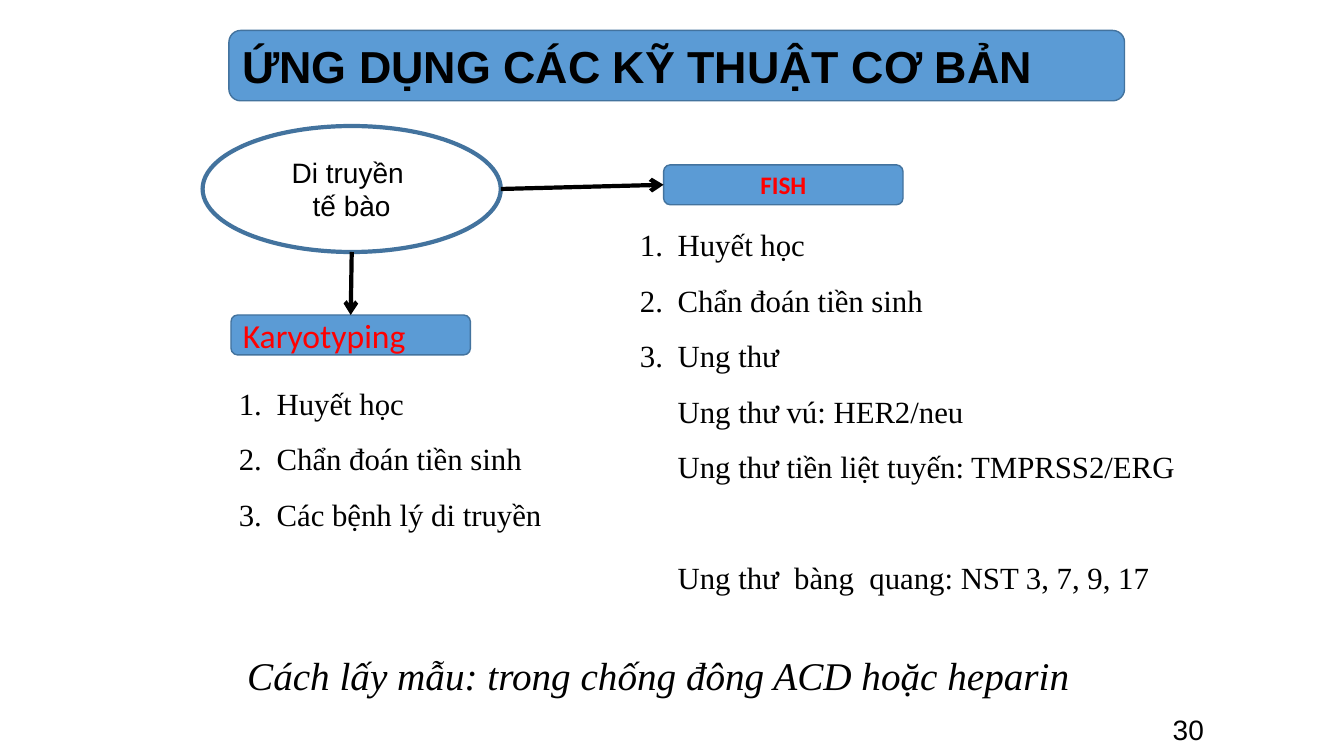
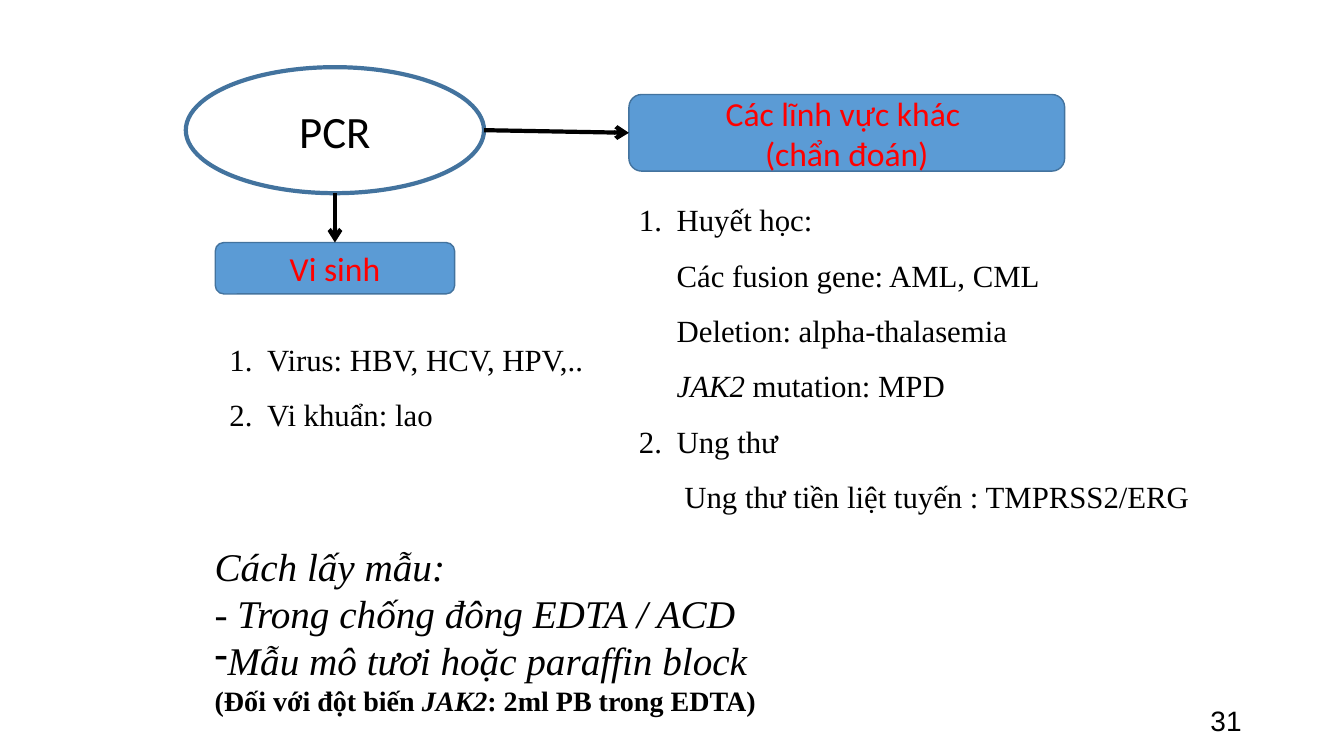
from lxml import etree
from pptx import Presentation
from pptx.dml.color import RGBColor
from pptx.enum import shapes, text
from pptx.oxml import ns
from pptx.util import Emu, Pt

PX = 9525
BLUE = RGBColor(0x5B, 0x9B, 0xD5)
EDGE = RGBColor(0x43, 0x73, 0x9E)
RED = RGBColor(0xFF, 0x00, 0x00)
BLACK = RGBColor(0x00, 0x00, 0x00)
SANS, LABEL, SERIF = "Arial", "Calibri", "Times New Roman"
GENE = "JAK2"
LIST_INDENT = 36
CENTER = text.PP_ALIGN.CENTER
LEFT = text.PP_ALIGN.LEFT
RIGHT = text.PP_ALIGN.RIGHT


def px(*values):
    return [Emu(v * PX) for v in values]


def write(p, words, size, font, color=BLACK, bold=False, italic=False, align=LEFT):
    before, gene, after = words.partition(GENE)
    p.text = before
    for part in filter(None, (gene, after)):
        p.add_run().text = part
    p.alignment = align
    for r in p.runs:
        r.font.size = Pt(size)
        r.font.name = font
        r.font.color.rgb = color
        r.font.bold = bold
        r.font.italic = italic or r.text == GENE


def fill_frame(tf, lines, *style, **options):
    tf.word_wrap = True
    for i, line in enumerate(lines):
        p = tf.add_paragraph() if i else tf.paragraphs[0]
        write(p, line, *style, **options)
    return tf


def add_bullet(p, tag, margin=0, **attributes):
    pPr = p._p.get_or_add_pPr()
    pPr.set("marL", str(margin * PX))
    pPr.set("indent", str(-margin * PX))
    etree.SubElement(pPr, ns.qn(tag), attributes)


def add_box(s, box, lines, *style, kind=shapes.MSO_SHAPE.ROUNDED_RECTANGLE,
            fill=BLUE, line_width=1, **options):
    sp = s.shapes.add_shape(kind, *px(*box))
    sp.shadow.inherit = False
    if fill is None:
        sp.fill.background()
    else:
        sp.fill.solid()
        sp.fill.fore_color.rgb = fill
    sp.line.color.rgb = EDGE
    sp.line.width = Pt(line_width)
    tf = fill_frame(sp.text_frame, lines, *style, **options)
    tf.vertical_anchor = text.MSO_ANCHOR.MIDDLE
    return sp


def add_method(s, left, top, lines, size, font):
    return add_box(s, (left, top, 284, 120), lines, size, font, align=CENTER,
                   kind=shapes.MSO_SHAPE.OVAL, fill=None, line_width=3)


def add_text(s, box, lines, *style, **options):
    sp = s.shapes.add_textbox(*px(*box))
    return fill_frame(sp.text_frame, lines, *style, **options)


def add_list(s, box, items):
    tf = add_text(s, box, [], 22, SERIF)
    for i, item in enumerate(items):
        p = tf.add_paragraph() if i else tf.paragraphs[0]
        add_bullet(p, "a:buAutoNum", LIST_INDENT, type="arabicPeriod")
        p.line_spacing = 1.5
        write(p, item, 22, SERIF)
    return tf


def add_list_remark(tf, words, gap=0):
    p = tf.add_paragraph()
    p._p.get_or_add_pPr().set("marL", str(LIST_INDENT * PX))
    p.line_spacing = 1.5
    p.space_before = Pt(gap)
    write(p, words, 22, SERIF)


def add_arrow(s, x, y, target, site):
    c = s.shapes.add_connector(shapes.MSO_CONNECTOR.STRAIGHT, x, y, x, y)
    c.end_connect(target, site)
    c.line.color.rgb = BLACK
    c.line.width = Pt(3)
    etree.SubElement(c.line._get_or_add_ln(), ns.qn("a:tailEnd"), type="arrow")
    etree.SubElement(c._element.spPr, ns.qn("a:effectLst"))


def add_branches(s, method, below, beside):
    add_arrow(s, method.left + method.width // 2, method.top + method.height, below, 0)
    add_arrow(s, method.left + method.width, method.top + method.height // 2, beside, 1)


def add_number(s, box, number):
    tf = add_text(s, box, [number], 20, SANS, align=RIGHT)
    tf.vertical_anchor = text.MSO_ANCHOR.MIDDLE


def build_cytogenetics(s):
    add_box(s, (218, 29, 853, 67), ["ỨNG DỤNG CÁC KỸ THUẬT CƠ BẢN"], 32, SANS, bold=True)
    method = add_method(s, 193, 120, ["Di truyền ", "tế bào"], 20, SANS)
    karyotyping = add_box(s, (220, 300, 228, 38), ["Karyotyping"], 24, LABEL, RED)
    fish = add_box(s, (632, 157, 228, 38), ["FISH"], 18, LABEL, RED,
                   bold=True, align=CENTER)
    add_branches(s, method, karyotyping, fish)
    add_list(s, (218, 344, 334, 170),
             ["Huyết học", "Chẩn đoán tiền sinh", "Các bệnh lý di truyền"])
    uses = add_list(s, (600, 193, 545, 383),
                    ["Huyết học", "Chẩn đoán tiền sinh",
                     "Ung thư\vUng thư vú: HER2/neu"])
    add_list_remark(uses, "Ung thư tiền liệt tuyến: TMPRSS2/ERG")
    add_list_remark(uses, "Ung thư  bàng  quang: NST 3, 7, 9, 17", gap=40)
    add_text(s, (226, 616, 810, 55), ["Cách lấy mẫu: trong chống đông ACD hoặc heparin"],
             28, SERIF, italic=True)
    add_number(s, (1072, 670, 84, 50), "30")


def build_pcr(s):
    method = add_method(s, 177, 64, ["PCR"], 32, LABEL)
    microbes = add_box(s, (205, 231, 228, 49), ["Vi sinh"], 24, LABEL, RED, align=CENTER)
    others = add_box(s, (599, 90, 415, 73), ["Các lĩnh vực khác ", "(chẩn đoán)"],
                     24, LABEL, RED, align=CENTER)
    add_branches(s, method, microbes, others)
    add_list(s, (209, 302, 439, 116), ["Virus: HBV, HCV, HPV,..", "Vi khuẩn: lao"])
    add_list(s, (599, 169, 553, 329),
             ["Huyết học:\vCác fusion gene: AML, CML\vDeletion: alpha-thalasemia\v"
              "JAK2 mutation: MPD",
              "Ung thư\v Ung thư tiền liệt tuyến : TMPRSS2/ERG"])
    sampling = add_text(s, (195, 512, 560, 178),
                        ["Cách lấy mẫu:", "- Trong chống đông EDTA / ACD",
                         "Mẫu mô tươi hoặc paraffin block"], 28, SERIF, italic=True)
    add_bullet(sampling.paragraphs[-1], "a:buChar", char="-")
    write(sampling.add_paragraph(), "(Đối với đột biến JAK2: 2ml PB trong EDTA)",
          20, SERIF, bold=True)
    add_number(s, (904, 667, 288, 38), "31")


def main():
    prs = Presentation()
    prs.slide_width, prs.slide_height = px(1280, 720)
    for build in (build_cytogenetics, build_pcr):
        build(prs.slides.add_slide(prs.slide_layouts[6]))
    prs.save("out.pptx")


if __name__ == "__main__":
    main()
